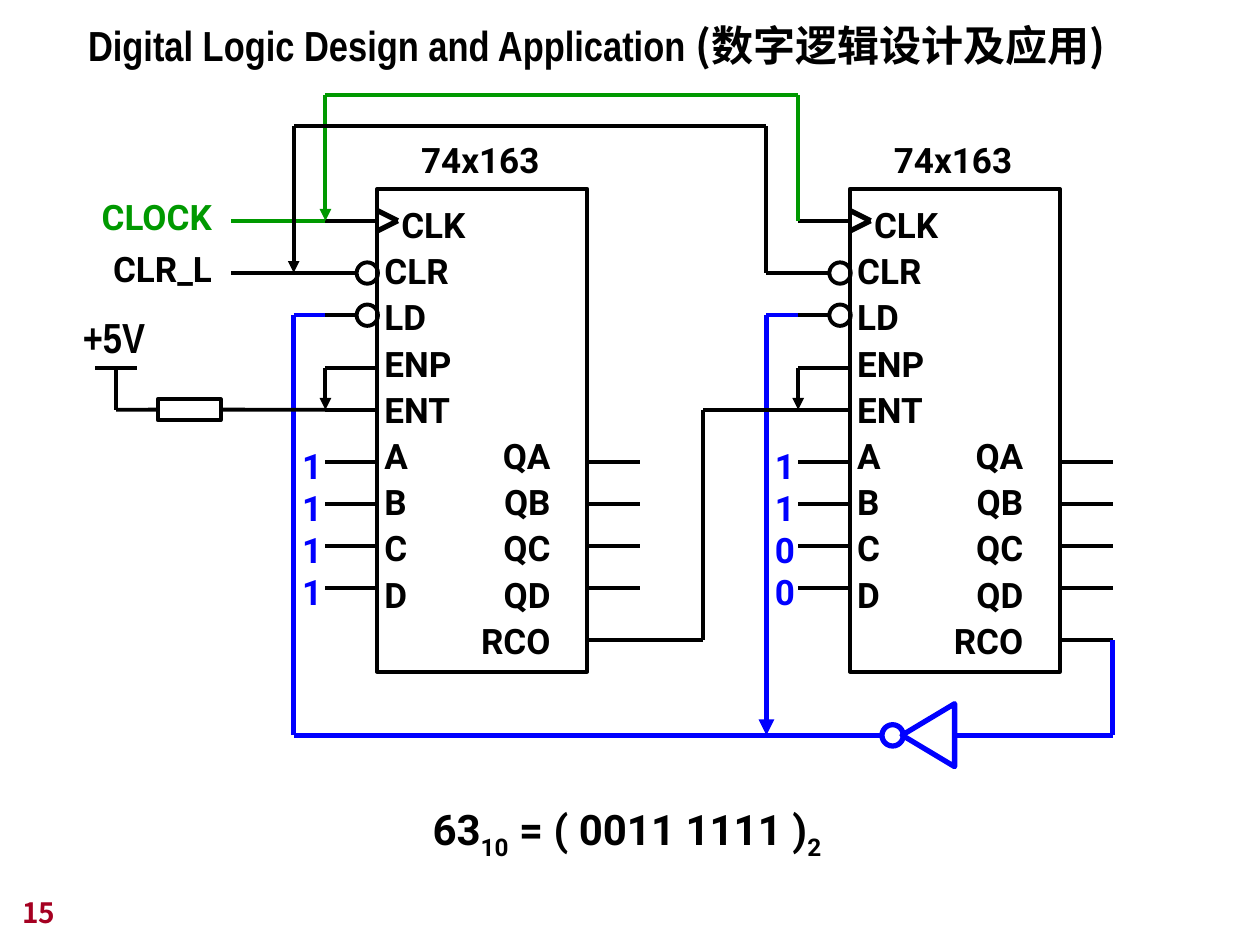
from lxml import etree
from pptx import Presentation
from pptx.dml.color import RGBColor
from pptx.enum import shapes, text
from pptx.oxml import ns, parse_xml
from pptx.util import Cm, Pt

BLACK, BLUE, GREEN, RED = "000000", "0000FF", "009900", "A50021"
ROBOTO, NARROW, CJK = "Roboto", "Arial Narrow", "Noto Sans CJK JP"

# Chip geometry in cm, measured from the chip's top left corner
CHIP_W, CHIP_H, STUB, PITCH = 4.24, 9.73, 1.04, 9.53
BUS = -1.68  # vertical wires left of a chip
PIN_Y = {"CLK": 0.64, "CLR": 1.69, "LD": 2.54, "ENP": 3.6, "ENT": 4.45,
         "A": 5.5, "B": 6.35, "C": 7.2, "D": 8.05, "RCO": 9.1}


def rgb(color):
    return RGBColor.from_string(color)


def style(run, size, font, color):
    f = run.font
    f.size, f.name, f.bold = Pt(size), font, True
    f.color.rgb = rgb(color)


def wire(sp, points, color=BLACK, width=2.25, arrow=False):
    """Join the points with straight connectors; return the connectors."""
    lines = []
    for start, end in zip(points, points[1:]):
        c = sp.add_connector(shapes.MSO_CONNECTOR.STRAIGHT,
                             *(Cm(v) for v in start + end))
        c.line.color.rgb, c.line.width = rgb(color), Pt(width)
        etree.SubElement(c._element.spPr, ns.qn("a:effectLst"))
        lines.append(c)
    if arrow:
        etree.SubElement(lines[-1].line._get_or_add_ln(),
                         ns.qn("a:tailEnd"), type="triangle")
    return lines


def outline(sp, kind, x, y, w, h, color=BLACK, width=2.25):
    shape = sp.add_shape(kind, Cm(x), Cm(y), Cm(w), Cm(h))
    shape.shadow.inherit = False
    shape.fill.background()
    shape.line.color.rgb, shape.line.width = rgb(color), Pt(width)
    return shape


def label(sp, x, y, w, h, words, size=20, font=ROBOTO, color=BLACK):
    tf = sp.add_textbox(Cm(x), Cm(y), Cm(w), Cm(h)).text_frame
    tf.word_wrap = False
    tf.text = words
    for p in tf.paragraphs:
        for r in p.runs:
            style(r, size, font, color)
    return tf


def pin_names(tf):
    tf.word_wrap = True
    tf.vertical_anchor = text.MSO_ANCHOR.MIDDLE
    tf.margin_left = Cm(0.15)
    tf.text = "\n".join(["CLK", "CLR", "LD", "ENP", "ENT", "A\tQA", "B\tQB",
                         "C\tQC", "D\tQD", "\tRCO"])
    for p in tf.paragraphs:
        p.alignment, p.line_spacing = text.PP_ALIGN.LEFT, 1.1
        if "\t" in p.text:
            p._p.get_or_add_pPr().append(parse_xml(
                f'<a:tabLst {ns.nsdecls("a")}>'
                f'<a:tab pos="{Cm(3.35)}" algn="r"/></a:tabLst>'))
        for r in p.runs:
            style(r, 20, ROBOTO, BLACK)
    p_pr = tf.paragraphs[0]._p.get_or_add_pPr()
    p_pr.set("marL", str(Cm(0.34)))
    p_pr.set("indent", "0")


def counter_chip(s, x, y, load_values):
    sp = s.shapes.add_group_shape().shapes
    box = outline(sp, shapes.MSO_SHAPE.RECTANGLE, x, y, CHIP_W, CHIP_H)
    pin_names(box.text_frame)
    label(sp, x + 0.64, y - 1.14, 2.95, 1.12, "74x163")
    for pin, dy in PIN_Y.items():
        inner = x
        if pin in ("CLR", "LD"):
            inner = x - 0.41
            outline(sp, shapes.MSO_SHAPE.OVAL, inner, y + dy - 0.21, 0.43, 0.43)
        if pin != "RCO":
            wire(sp, [(x - STUB, y + dy), (inner, y + dy)])
        if pin in ("A", "B", "C", "D", "RCO"):
            wire(sp, [(x + CHIP_W, y + dy), (x + CHIP_W + 1.06, y + dy)])
    clk = y + PIN_Y["CLK"]
    wire(sp, [(x, clk - 0.21), (x + 0.42, clk), (x, clk + 0.21)], width=3)
    label(sp, x - 1.76, y + 5.03, 0.91, 3.66, "\n".join(load_values),
          color=BLUE)


def enable_link(sp, x, y):
    wire(sp, [(x - STUB, y + PIN_Y["ENP"]), (x - STUB, y + PIN_Y["ENT"])],
         arrow=True)


def supply(s, x, y):
    """The +5V supply and resistor that enable the chip at x, y."""
    sp = s.shapes.add_group_shape().shapes
    ent, bar, rail = y + PIN_Y["ENT"], y + PIN_Y["ENP"], x - 5.26
    resistor = outline(sp, shapes.MSO_SHAPE.RECTANGLE,
                       x - 4.42, ent - 0.21, 1.27, 0.42)
    wire(sp, [(x - 3.15, ent), (x - STUB, ent)])[0].begin_connect(resistor, 3)
    feed = wire(sp, [(rail, bar), (rail, ent), (x - 4.42, ent)])
    feed[-1].end_connect(resistor, 1)
    wire(sp, [(rail - 0.42, bar), (rail + 0.42, bar)])
    label(sp, x - 6.18, y + 2.34, 2, 1.27, "+5V", 24, NARROW)
    enable_link(sp, x, y)


def carry(s, x, y):
    """RCO of the chip at x, y to the enables of the next chip."""
    sp = s.shapes.add_group_shape().shapes
    rco, ent, turn = y + PIN_Y["RCO"], y + PIN_Y["ENT"], x + 6.58
    wire(sp, [(x + 5.1, rco), (turn, rco), (turn, ent),
              (x + PITCH - STUB, ent)])
    enable_link(sp, x + PITCH, y)


def load_feedback(s, x, y):
    """RCO of the second chip through an inverter to both LD pins."""
    sp = s.shapes.add_group_shape().shapes
    x2, ld, bottom = x + PITCH, y + PIN_Y["LD"], y + 11.01
    out = x2 + CHIP_W + 1.06
    wire(sp, [(out, y + PIN_Y["RCO"]), (out, bottom), (x2 + 2.12, bottom)],
         BLUE, 3)
    wire(sp, [(x2 + 0.65, bottom), (x + BUS, bottom), (x + BUS, ld)], BLUE, 3)
    for left in (x, x2):
        wire(sp, [(left + BUS, ld), (left - STUB, ld)], BLUE)
    wire(sp, [(x2 + BUS, ld), (x2 + BUS, bottom)], BLUE, 3, arrow=True)
    outline(sp, shapes.MSO_SHAPE.OVAL, x2 + 0.65, bottom - 0.21, 0.43, 0.43,
            BLUE, 3)
    inverter = outline(sp, shapes.MSO_SHAPE.ISOSCELES_TRIANGLE,
                       x2 + 0.95, bottom - 0.53, 1.27, 1.06, BLUE, 3)
    inverter.rotation = 270


def shared_input(s, x, y, pin, name, name_x, name_w, rise, tap, color):
    """One input that also runs over the top to the next chip."""
    sp = s.shapes.add_group_shape().shapes
    pin_y, top, x2 = y + PIN_Y[pin], y - rise, x + PITCH
    label(sp, x - name_x, pin_y - 0.64, name_w, 1.12, name, color=color)
    wire(sp, [(x - 2.94, pin_y), (x - STUB, pin_y)], color)
    wire(sp, [(x2 + tap, pin_y), (x2 + tap, top), (x + tap, top),
              (x + tap, pin_y)], color, arrow=True)
    if tap != -STUB:
        wire(sp, [(x2 + tap, pin_y), (x2 - STUB, pin_y)], color)


def title(s, x, y, w, h):
    t = s.shapes.title
    t.left, t.top, t.width, t.height = Cm(x), Cm(y), Cm(w), Cm(h)
    tf = t.text_frame
    tf.word_wrap, tf.auto_size = True, text.MSO_AUTO_SIZE.NONE
    tf.vertical_anchor = text.MSO_ANCHOR.TOP
    p = tf.paragraphs[0]
    p.alignment, p.line_spacing = text.PP_ALIGN.LEFT, Pt(28.6)
    for words, font in (("Digital Logic Design and Application ", NARROW),
                        ("(数字逻辑设计及应用)", CJK)):
        r = p.add_run()
        r.text = words
        style(r, 24, font, BLACK)
        etree.SubElement(r.font._element, ns.qn("a:ea"), typeface=CJK)


def equation(s, x, y, w, h):
    p = label(s.shapes, x, y, w, h, "").paragraphs[0]
    for words, subscript in (("63", False), ("10", True),
                             (" = ( 0011 1111 )", False), ("2", True)):
        r = p.add_run()
        r.text = words
        style(r, 24, ROBOTO, BLACK)
        if subscript:
            r.font._element.set("baseline", "-25000")


def page_number(s, x, y, w, h):
    tf = label(s.shapes, x, y, w, h, "15", 16, CJK, RED)
    tf.word_wrap = True
    tf.vertical_anchor = text.MSO_ANCHOR.BOTTOM


def main():
    prs = Presentation()
    prs.slide_width, prs.slide_height = Cm(25.4), Cm(19.05)
    s = prs.slides.add_slide(prs.slide_layouts[5])
    x, y = 7.6, 3.81
    title(s, 1.52, 0.28, 21.36, 1.27)
    equation(s, 8.47, 16.08, 8.47, 1.42)
    counter_chip(s, x, y, "1111")
    counter_chip(s, x + PITCH, y, "1100")
    load_feedback(s, x, y)
    supply(s, x, y)
    carry(s, x, y)
    shared_input(s, x, y, "CLK", "CLOCK", 5.8, 2.84, 1.9, -STUB, GREEN)
    shared_input(s, x, y, "CLR", "CLR_L", 5.57, 2.51, 1.27, BUS, BLACK)
    page_number(s, 0.2, 17.58, 5.28, 1.27)
    prs.save("out.pptx")


if __name__ == "__main__":
    main()
